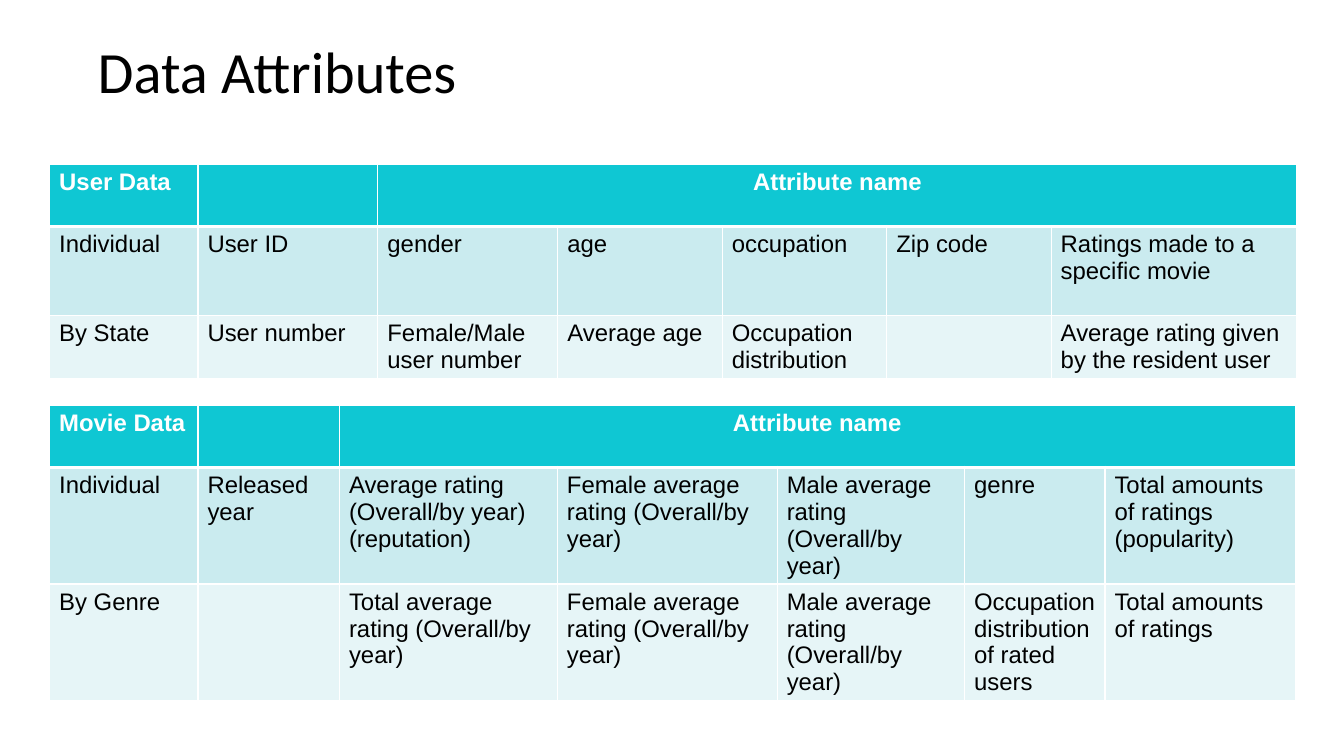
from lxml import etree
from pptx import Presentation
from pptx.dml.color import RGBColor
from pptx.enum.text import MSO_ANCHOR, MSO_AUTO_SIZE, PP_ALIGN
from pptx.oxml.ns import qn
from pptx.util import Cm, Pt

LEFT, CENTER = PP_ALIGN.LEFT, PP_ALIGN.CENTER
TOP = MSO_ANCHOR.TOP
FIXED = MSO_AUTO_SIZE.NONE
WHITE, BLACK = "FFFFFF", "000000"
FILLS = ["0FC7D3", "CAEBEF", "E6F5F7"]

USER = [
    ["User Data", "", "Attribute name", "", "", "", ""],
    ["Individual", "User ID", "gender", "age", "occupation", "Zip code",
     "Ratings made to a specific movie"],
    ["By State", "User number", "Female/Male user number", "Average age",
     "Occupation distribution", "",
     "Average rating given by the resident user"],
]
MOVIE = [
    ["Movie Data", "", "Attribute name", "", "", "", ""],
    ["Individual", "Released year",
     "Average rating (Overall/by year)\n(reputation)",
     "Female average rating (Overall/by year)",
     "Male average rating (Overall/by year)", "genre",
     "Total amounts of ratings (popularity)"],
    ["By Genre", "", "Total average rating (Overall/by year)",
     "Female average rating (Overall/by year)",
     "Male average rating (Overall/by year)",
     "Occupation distribution of rated users", "Total amounts of ratings"],
]


def color(code):
    return RGBColor.from_string(code)


def write(frame, text, size=18, font="Arial", ink=BLACK, bold=False,
          align=LEFT, space=None):
    frame.text = text
    for para in frame.paragraphs:
        para.alignment = align
        para.line_spacing = space
        para.font.size = Pt(size)
        for run in para.runs:
            run.font.name = font
            run.font.size = Pt(size)
            run.font.bold = bold
            run.font.color.rgb = color(ink)


def border(cell, widths):
    props = cell._tc.get_or_add_tcPr()
    for spot, (side, width) in enumerate(widths.items()):
        line = etree.Element(qn(f"a:ln{side}"), w=str(Pt(width)))
        fill = etree.SubElement(line, qn("a:solidFill"))
        etree.SubElement(fill, qn("a:srgbClr"), val=WHITE)
        props.insert(spot, line)


def title(slide, text, left, top, width, height):
    shape = slide.shapes.title
    shape.left, shape.top = Cm(left), Cm(top)
    shape.width, shape.height = Cm(width), Cm(height)
    frame = shape.text_frame
    frame.auto_size = FIXED
    frame.vertical_anchor = TOP
    write(frame, text, size=44, font="Calibri", space=0.9)


def grid(slide, data, left, top, widths, heights):
    frame = slide.shapes.add_table(
        len(data), len(widths), Cm(left), Cm(top),
        Cm(sum(widths)), Cm(sum(heights)))
    table = frame.table
    for col, width in zip(table.columns, widths):
        col.width = Cm(width)
    for row, height in zip(table.rows, heights):
        row.height = Cm(height)
    for y, texts in enumerate(data):
        head = y == 0
        for x, text in enumerate(texts):
            cell = table.cell(y, x)
            cell.fill.solid()
            cell.fill.fore_color.rgb = color(FILLS[y])
            border(cell, {"L": 1, "R": 1, "T": 3 if y == 1 else 1,
                          "B": 3 if head else 1})
            write(cell.text_frame, text, bold=head,
                  ink=WHITE if head else BLACK,
                  align=CENTER if head and x == 2 else LEFT)
    table.cell(0, 2).merge(table.cell(0, len(widths) - 1))


def main():
    deck = Presentation()
    deck.slide_width, deck.slide_height = Cm(35.71), Cm(20.09)
    slide = deck.slides.add_slide(deck.slide_layouts[5])
    title(slide, "Data Attributes", 2.34, 1.02, 29.21, 3.68)
    grid(slide, USER, 1.32, 4.37,
         [3.94, 4.78, 4.78, 4.37, 4.37, 4.37, 6.53], [1.65, 2.36, 1.65])
    grid(slide, MOVIE, 1.32, 10.77,
         [3.94, 3.76, 5.79, 5.84, 4.98, 3.73, 5.05], [1.65, 3.1, 3.1])
    deck.save("out.pptx")


if __name__ == "__main__":
    main()
